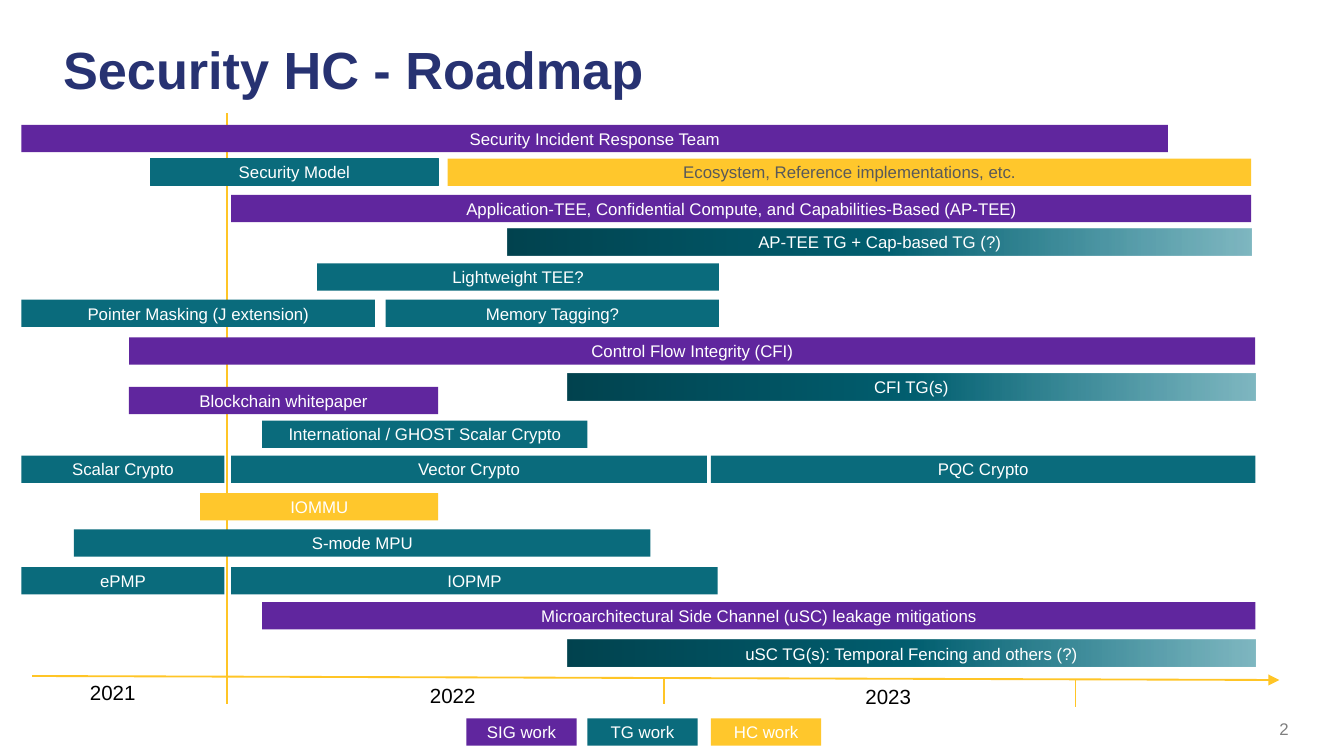
from lxml.etree import SubElement
from pptx import Presentation
from pptx.dml.color import RGBColor
from pptx.enum.shapes import MSO_CONNECTOR, MSO_SHAPE
from pptx.enum.text import MSO_ANCHOR, PP_ALIGN
from pptx.oxml.ns import qn
from pptx.util import Inches, Pt

THEME = {
    "font": "Arial",
    "navy": "273272", "black": "000000", "white": "FFFFFF",
    "grey": "7F7F7F", "charcoal": "595959", "axis": "FFC526",
    "SIG": "60269E", "TG": "0A6B7C", "HC": "FFC72C",
    "fade": [(0, "01434F", 100), (50, "015F70", 100), (100, "017185", 50)],
    "title size": 28, "year size": 11, "label size": 9,
    "axis weight": 1, "tick weight": 0.75, "outline weight": 0.5,
}

deck = Presentation()
deck.slide_width, deck.slide_height = Inches(10), Inches(5.625)
slide = deck.slides.add_slide(deck.slide_layouts[6])
COLUMN = deck.slide_width / 100
ROW = deck.slide_height / 56.25
BAR_ROWS = 2.03


def write_label(holder, label, size, ink, frame_format, paragraph_format, bold=False):
    frame = holder.text_frame
    paragraph = frame.paragraphs[0]
    run = paragraph.add_run()
    run.text = label
    font_format = {"name": THEME["font"], "size": Pt(THEME[size]), "bold": bold}
    for target, values in ((frame, frame_format), (paragraph, paragraph_format), (run.font, font_format)):
        for attribute, value in values.items():
            setattr(target, attribute, value)
    run.font.color.rgb = RGBColor.from_string(THEME[ink])


def draw_line(start_column, start_row, end_column, end_row, weight):
    line = slide.shapes.add_connector(
        MSO_CONNECTOR.STRAIGHT, round(start_column * COLUMN), round(start_row * ROW),
        round(end_column * COLUMN), round(end_row * ROW))
    line.line.color.rgb = RGBColor.from_string(THEME["axis"])
    line.line.width = Pt(THEME[weight])
    SubElement(line._element.spPr, qn("a:effectLst"))
    return line


margins = {"margin_left": Inches(0.07), "margin_right": Inches(0.07),
           "margin_top": Inches(0.04), "margin_bottom": Inches(0.04)}
title = slide.shapes.add_textbox(*(round(n) for n in (4 * COLUMN, 1.6 * ROW, 87.7 * COLUMN, 7.5 * ROW)))
write_label(title, "Security HC - Roadmap", "title size", "navy",
            {"word_wrap": True, "vertical_anchor": MSO_ANCHOR.MIDDLE, **margins},
            {"line_spacing": 0.95}, bold=True)

time_axis = draw_line(2.4, 50.3, 95.2, 50.6, "axis weight")
SubElement(time_axis.line._get_or_add_ln(), qn("a:tailEnd"), type="triangle")
draw_line(16.9, 50.4, 16.9, 8.4, "axis weight")
for tick_column, tick_row in ((16.9, 50.4), (49.4, 50.4), (80, 50.6)):
    draw_line(tick_column, tick_row, tick_column, tick_row + 2, "tick weight")

for year, year_column, year_row in (("2021", 5.7, 50.1), ("2022", 31, 50.3), ("2023", 63.4, 50.4)):
    year_label = slide.shapes.add_textbox(
        *(round(n) for n in (year_column * COLUMN, year_row * ROW, 5.5 * COLUMN, 2.9 * ROW)))
    write_label(year_label, year, "year size", "black", {"word_wrap": False}, {})

lanes = [
    (9.3, [(1.6, 86.9, "SIG", "Security Incident Response Team")]),
    (11.8, [(11.2, 32.6, "TG", "Security Model"),
            (33.3, 93.1, "HC", "Ecosystem, Reference implementations, etc.")]),
    (14.5, [(17.2, 93.1, "SIG", "Application-TEE, Confidential Compute, and Capabilities-Based (AP-TEE)")]),
    (17, [(37.8, 93.1, "fade", "AP-TEE TG + Cap-based TG (?)")]),
    (19.6, [(23.6, 53.5, "TG", "Lightweight TEE?")]),
    (22.3, [(1.6, 27.9, "TG", "Pointer Masking (J extension)"), (28.7, 53.5, "TG", "Memory Tagging?")]),
    (25.1, [(9.6, 93.4, "SIG", "Control Flow Integrity (CFI)")]),
    (27.8, [(42.2, 93.4, "fade", "CFI TG(s)")]),
    (28.8, [(9.6, 32.6, "SIG", "Blockchain whitepaper")]),
    (31.3, [(19.5, 43.7, "TG", "International / GHOST Scalar Crypto")]),
    (33.9, [(1.6, 16.7, "TG", "Scalar Crypto"), (17.2, 52.6, "TG", "Vector Crypto"),
            (52.9, 93.4, "TG", "PQC Crypto")]),
    (36.7, [(14.9, 32.6, "HC", "IOMMU")]),
    (39.4, [(5.5, 48.4, "TG", "S-mode MPU")]),
    (42.2, [(1.6, 16.7, "TG", "ePMP"), (17.2, 53.4, "TG", "IOPMP")]),
    (44.8, [(19.5, 93.4, "SIG", "Microarchitectural Side Channel (uSC) leakage mitigations")]),
    (47.6, [(42.2, 93.4, "fade", "uSC TG(s): Temporal Fencing and others (?)")]),
    (53.45, [(34.7, 42.9, "SIG", "SIG work"), (43.7, 51.9, "TG", "TG work"), (52.9, 61.1, "HC", "HC work")]),
]
inks = {"Ecosystem, Reference implementations, etc.": "charcoal"}
outlined = {"Security Model"}

for lane_row, efforts in lanes:
    for start, end, group, label in efforts:
        bar = slide.shapes.add_shape(
            MSO_SHAPE.RECTANGLE, round(start * COLUMN), round(lane_row * ROW),
            round((end - start) * COLUMN), round(BAR_ROWS * ROW))
        bar.shadow.inherit = False
        if group == "fade":
            bar.fill.gradient()
            bar.fill.gradient_angle = 0
            stops = bar._element.spPr.find(qn("a:gradFill")).find(qn("a:gsLst"))
            for stop in list(stops):
                stops.remove(stop)
            for position, colour, opacity in THEME["fade"]:
                stop = SubElement(stops, qn("a:gs"), pos=str(position * 1000))
                shade = SubElement(stop, qn("a:srgbClr"), val=colour)
                SubElement(shade, qn("a:alpha"), val=str(opacity * 1000))
        else:
            bar.fill.solid()
            bar.fill.fore_color.rgb = RGBColor.from_string(THEME[group])
        if label in outlined:
            bar.line.color.rgb = RGBColor.from_string(THEME[group])
            bar.line.width = Pt(THEME["outline weight"])
        else:
            bar.line.fill.background()
        write_label(bar, label, "label size", inks.get(label, "white"),
                    {"word_wrap": True, "vertical_anchor": MSO_ANCHOR.MIDDLE},
                    {"alignment": PP_ALIGN.CENTER})

page_number = slide.shapes.add_textbox(
    *(round(n) for n in (73.3 * COLUMN, 52.9 * ROW, 23.3 * COLUMN, 2.5 * ROW)))
write_label(page_number, "2", "label size", "grey",
            {"word_wrap": True, "vertical_anchor": MSO_ANCHOR.BOTTOM, **margins},
            {"alignment": PP_ALIGN.RIGHT})

deck.save("out.pptx")
